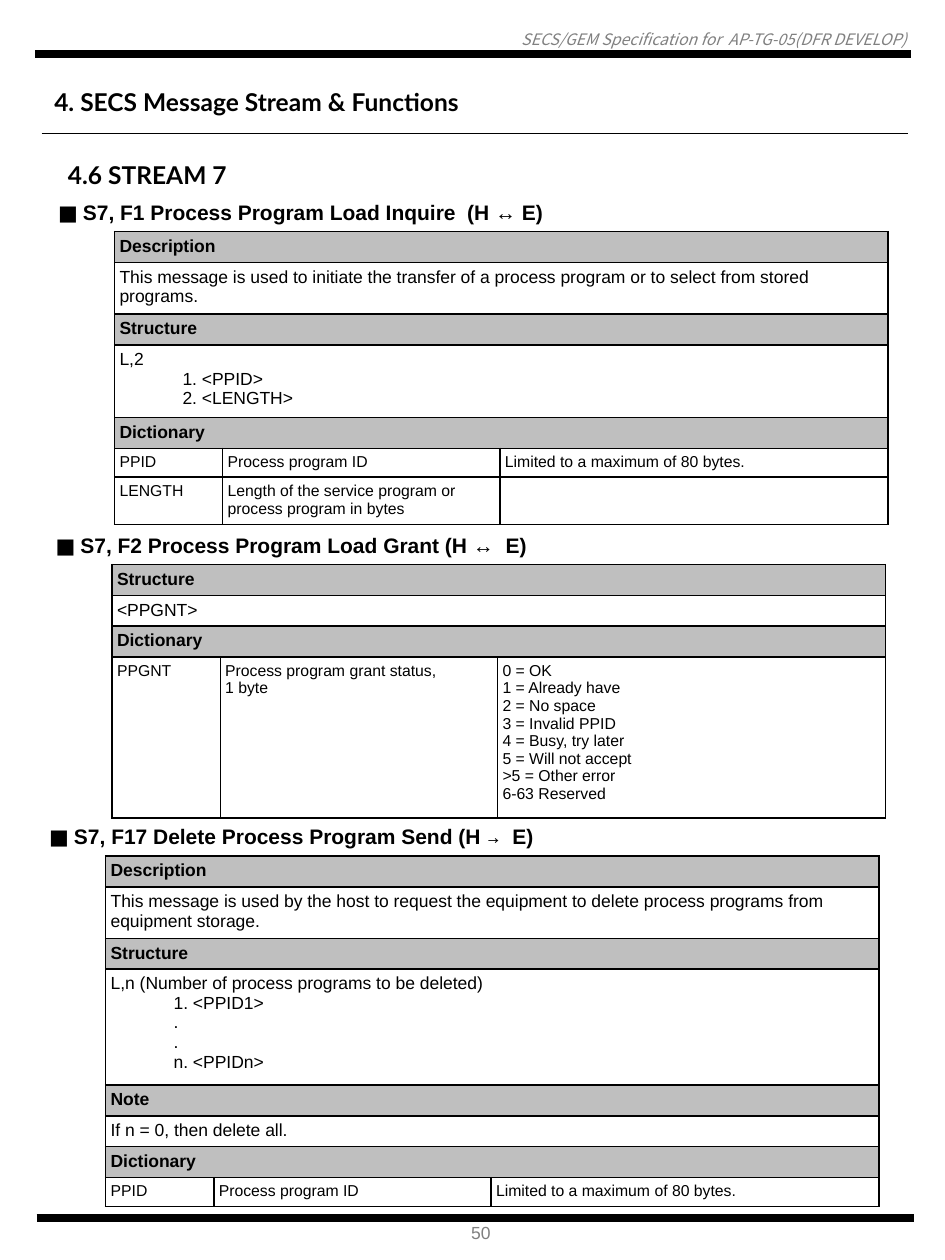
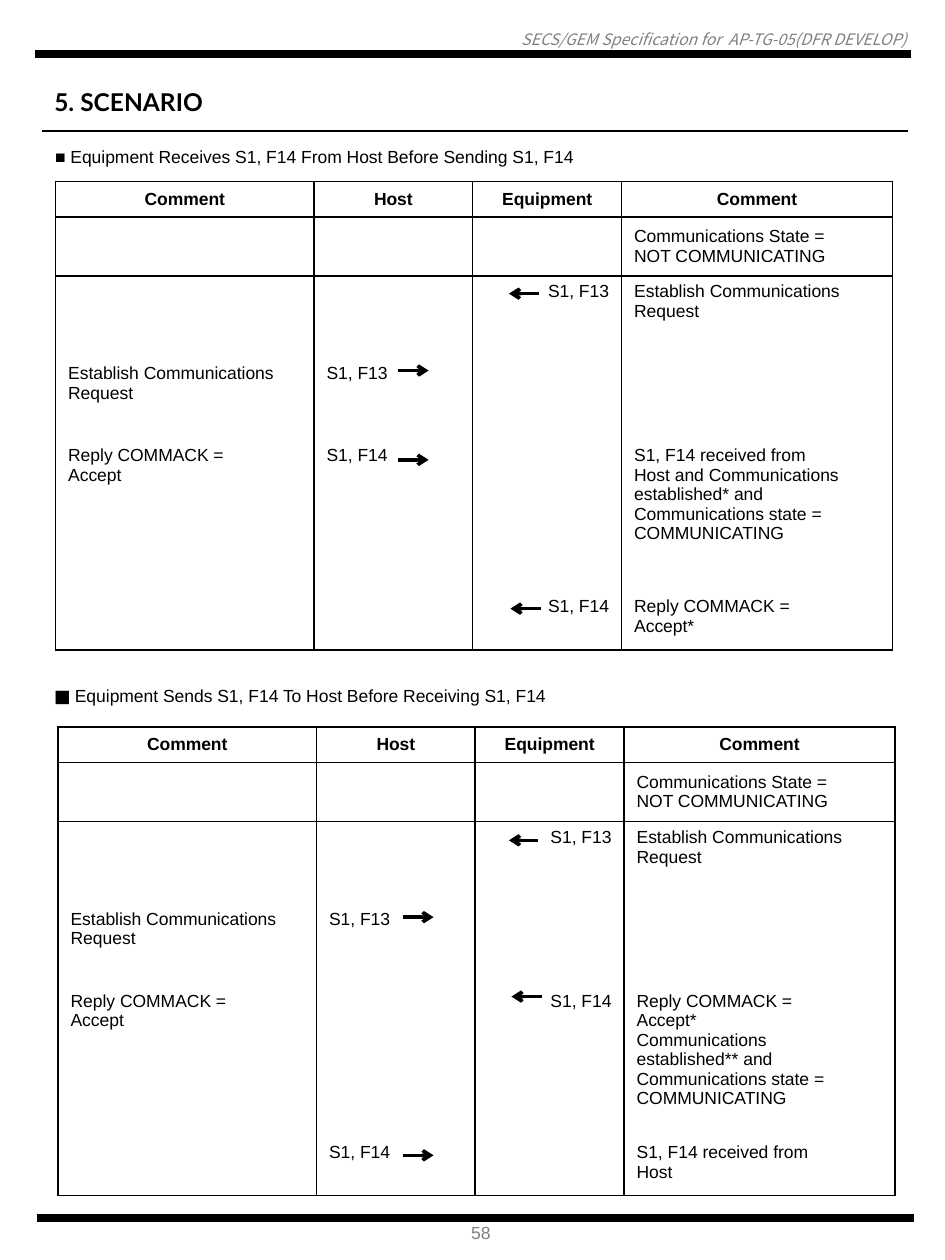
"""Build two pages of a SECS/GEM message specification."""
from lxml import etree
from pptx import Presentation
from pptx.dml.color import RGBColor
from pptx.enum import shapes, text
from pptx.oxml.ns import qn
from pptx.util import Cm, Pt

HUES = {"ink": "000000", "band": "BFBFBF", "grey": "808080"}
LEFT, MID, RIGHT = text.PP_ALIGN.LEFT, text.PP_ALIGN.CENTER, text.PP_ALIGN.RIGHT
BARE = "{2D5ABB26-0587-4C30-8999-92F81FD0307C}"


def write(frame, lines, size, face="Arial", bold=False, hue="ink", align=LEFT, slant=False):
    """Fill a frame; a line is a string or a list of (words, font) pairs."""
    for n, line in enumerate(lines):
        para = frame.add_paragraph() if n else frame.paragraphs[0]
        mixed = not isinstance(line, str)
        para.alignment = align
        para.font.size, para.font.bold, para.font.italic = Pt(size), bold, slant
        para.font.color.rgb = RGBColor.from_string(HUES[hue])
        if not mixed:
            para.font.name = face
        for words, font in line if mixed else [(line, face)]:
            run = para.add_run()
            run.text = words
            if mixed:
                run.font.name = font


def grid(slide, x, y, cols, highs):
    """Add a plain table with the given column widths and row heights."""
    frame = slide.shapes.add_table(len(highs), len(cols), Cm(x), Cm(y),
                                   Cm(sum(cols)), Cm(sum(highs)))
    table = frame.table
    table.first_row = table.horz_banding = False
    table._tbl.tblPr.find(qn("a:tableStyleId")).text = BARE
    for col, wide in zip(table.columns, cols):
        col.width = Cm(wide)
    for row, high in zip(table.rows, highs):
        row.height = Cm(high)
    for cell in table.iter_cells():
        para = cell.text_frame.paragraphs[0]._p
        etree.SubElement(para, qn("a:endParaRPr"), sz="800")
    return table


deck = Presentation()
deck.slide_width, deck.slide_height = Cm(19.05), Cm(25.4)
boxes, rules, edges = [], [], []

pages = []
for name, wide, under, number in [
    ("4. SECS Message Stream & Functions", 9.8, 2.69, "50"),
    ("5. SCENARIO", 3.81, 2.64, "58"),
]:
    page = deck.slides.add_slide(deck.slide_layouts[5])
    pages.append(page)
    title = page.shapes.title
    title.left, title.top, title.width, title.height = Cm(0.84), Cm(1.63), Cm(wide), Cm(0.86)
    title.text_frame.auto_size = text.MSO_AUTO_SIZE.NONE
    title.text_frame.word_wrap = False
    title.text_frame.vertical_anchor = text.MSO_ANCHOR.TOP
    write(title.text_frame, [name], 14, "Lato", True)
    boxes += [
        (page, 0.13, 0.61, 18.14, 0.38, 0, "SECS/GEM Specification for  AP-TG-05(DFR DEVELOP)",
         dict(size=9, face="Noto Sans CJK KR", hue="grey", align=RIGHT, slant=True)),
        (page, 9.25, 24.51, 0.94, 0.69, 1, number, dict(size=10, hue="grey")),
    ]
    rules += [
        (page, 0.71, 18.36, 1.09, 4.75, False),
        (page, 0.74, 18.42, 24.56, 4.75, False),
        (page, 0.84, 18.31, under, 0.75, False),
    ]
first, second = pages

boxes += [
    (first, 1.12, 3.1, 3.99, 0.86, 1, "4.6 STREAM 7", dict(size=14, face="Lato", bold=True)),
    (second, 0.86, 2.82, 11.66, 0.69, 1,
     "■ Equipment Receives S1, F14 From Host Before Sending S1, F14", dict(size=10)),
    (second, 0.84, 13.69, 17.6, 0.69, 1,
     [("■ ", "Lato"), ("Equipment Sends S1, F14 To Host Before Receiving S1, F14", "Arial")],
     dict(size=10)),
]

BANDS = ("Description", "Structure", "Note", "Dictionary")
ppid = (0.58, "PPID", "Process program ID", "Limited to a maximum of 80 bytes.")
about, shape, note, terms = [(0.62, band) for band in BANDS]
messages = [
    (1.07, 3.91, [("S7, F1 Process Program Load Inquire  (H ↔ E)", "Arial")], [
        about,
        (1.04, "This message is used to initiate the transfer of a process program "
               "or to select from stored programs."),
        shape, (1.47, "L,2\n\t1. <PPID>\n\t2. <LENGTH>"),
        terms, ppid,
        (0.95, "LENGTH", "Length of the service program or process program in bytes", ""),
    ]),
    (1.02, 10.62, [("S7, F2 Process Program Load Grant (H ↔  E)", "Arial")], [
        shape, (0.62, "<PPGNT>"),
        terms,
        (3.25, "PPGNT", "Process program grant status,\n1 byte",
         "0 = OK\n1 = Already have\n2 = No space\n3 = Invalid PPID\n4 = Busy, try later\n"
         "5 = Will not accept\n>5 = Other error\n6-63 Reserved"),
    ]),
    (0.89, 16.48, [("S7, F17 Delete Process Program Send (H ", "Arial"),
                   ("→ ", "Noto Sans Mono"), ("E)", "Arial")], [
        about,
        (1.04, "This message is used by the host to request the equipment to delete "
               "process programs from equipment storage."),
        shape,
        (2.34, "L,n (Number of process programs to be deleted)\n"
               "\t1. <PPID1>\n\t.\n\t.\n\tn. <PPIDn>"),
        note, (0.62, "If n = 0, then delete all."),
        terms, ppid,
    ]),
]
for x, y, head, rows in messages:
    table = grid(first, x, y, [1.24, 2.18, 5.59, 7.82], [0.76] + [row[0] for row in rows])
    for cell in table.iter_cells():
        cell.margin_left = cell.margin_right = cell.margin_top = cell.margin_bottom = Cm(0.1)
        edges.append((cell, "", None))
    table.cell(0, 0).merge(table.cell(0, 3))
    table.cell(0, 0).vertical_anchor = text.MSO_ANCHOR.MIDDLE
    write(table.cell(0, 0).text_frame, [[("■ ", "Lato")] + head], 12, bold=True)
    for r, (_, *words) in enumerate(rows, 1):
        band = words[0] in BANDS
        if len(words) == 1:
            table.cell(r, 1).merge(table.cell(r, 3))
        for c, part in enumerate(words, 1):
            if part:
                write(table.cell(r, c).text_frame, part.split("\n"),
                      10 if len(words) == 1 else 9, bold=band)
        for c in range(1, 4):
            edges.append((table.cell(r, c), "LRTB", "band" if band else None))

opening = ("", "", "", "Communications State =\nNOT COMMUNICATING")
ask = "Establish Communications\nRequest"
accept = "Reply COMMACK =\nAccept"
start = [("Comment", "Host", "Equipment", "Comment"), opening,
         ("", "", "S1, F13", ask), (ask, "S1, F13", "", "")]
scenes = [
    (1.12, 3.66, start + [
        (accept, "S1, F14", "", "S1, F14 received from\nHost and Communications\n"
         "established* and\nCommunications state =\nCOMMUNICATING"),
        ("", "", "S1, F14", accept + "*")],
     [(10.87, 10.26, 5.92), (8.03, 8.64, 7.47), (8.03, 8.64, 9.27), (10.9, 10.29, 12.27)]),
    (1.17, 14.66, start + [
        (accept, "", "S1, F14", accept + "*\nCommunications\nestablished** and\n"
         "Communications state =\nCOMMUNICATING"),
        ("", "S1, F14", "", "S1, F14 received from\nHost")],
     [(10.85, 10.26, 16.94), (8.13, 8.74, 18.49), (10.92, 10.31, 20.09), (8.13, 8.74, 23.29)]),
]
for x, y, rows, arrows in scenes:
    table = grid(second, x, y, [5.21, 3.2, 3, 5.46], [0.71, 1.19, 1.65, 1.65, 3.05, 1.19])
    for r, row in enumerate(rows):
        for c, part in enumerate(row):
            cell = table.cell(r, c)
            if r < 2:
                cell.vertical_anchor = text.MSO_ANCHOR.MIDDLE
            if part:
                write(cell.text_frame, part.split("\n"), 10, bold=r == 0,
                      align=MID if r == 0 else RIGHT if c == 2 else LEFT)
            edges.append((cell, {0: "LRTB", 1: "LRT", 5: "LRB"}.get(r, "LR"), None))
    rules += [(second, *arrow, 2, True) for arrow in arrows]

for cell, sides, hue in edges:
    props = cell._tc.get_or_add_tcPr()
    for side in sides:
        line = etree.SubElement(props, qn("a:ln" + side), w=str(Pt(1)))
        paint = etree.SubElement(line, qn("a:solidFill"))
        etree.SubElement(paint, qn("a:srgbClr"), val=HUES["ink"])
    if hue:
        cell.fill.solid()
        cell.fill.fore_color.rgb = RGBColor.from_string(HUES[hue])
    elif sides:
        cell.fill.background()

for page, x, y, wide, high, inset, words, style in boxes:
    frame = page.shapes.add_textbox(Cm(x), Cm(y), Cm(wide), Cm(high)).text_frame
    frame.word_wrap = wide > 5
    if not inset:
        frame.margin_left = frame.margin_right = frame.margin_top = frame.margin_bottom = 0
    write(frame, [words], **style)

for page, x, end, y, width, arrow in rules:
    rule = page.shapes.add_connector(shapes.MSO_CONNECTOR.STRAIGHT, Cm(x), Cm(y), Cm(end), Cm(y))
    rule.line.width = Pt(width)
    rule.line.color.rgb = RGBColor.from_string(HUES["ink"])
    if arrow:
        etree.SubElement(rule.line._get_or_add_ln(), qn("a:tailEnd"), type="arrow")
    etree.SubElement(rule._element.spPr, qn("a:effectLst"))

deck.save("out.pptx")
